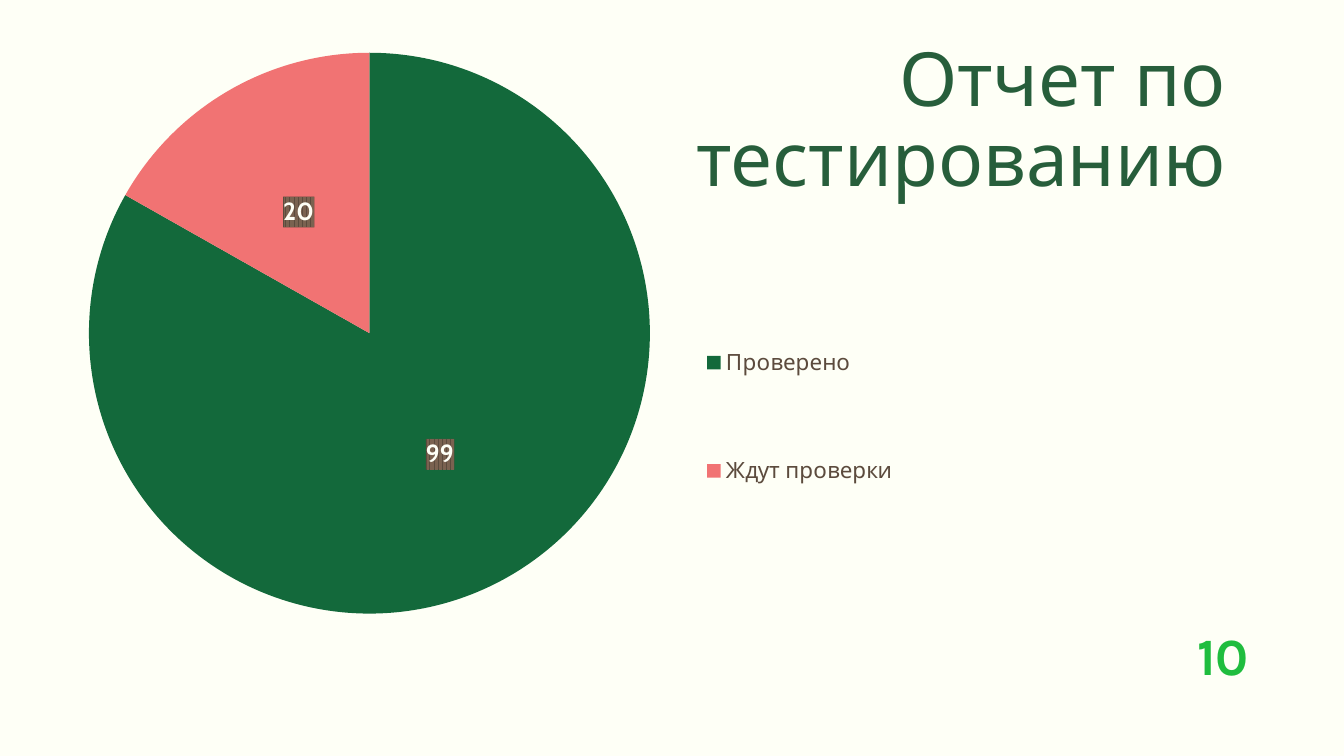
from lxml import etree
from pptx import Presentation
from pptx.chart.data import CategoryChartData
from pptx.dml.color import RGBColor
from pptx.enum.chart import XL_CHART_TYPE, XL_LABEL_POSITION, XL_LEGEND_POSITION
from pptx.enum.text import MSO_ANCHOR, PP_ALIGN
from pptx.oxml import parse_xml
from pptx.util import Cm, Pt

PIE = XL_CHART_TYPE.PIE
LABEL_CENTER = XL_LABEL_POSITION.CENTER
LEGEND_RIGHT = XL_LEGEND_POSITION.RIGHT
RIGHT = PP_ALIGN.RIGHT
TOP = MSO_ANCHOR.TOP

CREAM = RGBColor(0xFE, 0xFF, 0xF6)
TITLE_GREEN = RGBColor(0x27, 0x5E, 0x3B)
NUMBER_GREEN = RGBColor(0x1F, 0xBD, 0x3E)
PIE_GREEN = RGBColor(0x13, 0x69, 0x3B)
PIE_PINK = RGBColor(0xF1, 0x73, 0x73)
BROWN = RGBColor(0x5C, 0x4B, 0x3D)
LIGHT_BROWN = RGBColor(0x7A, 0x62, 0x50)
INK = RGBColor(0x15, 0x11, 0x0E)

HEADING_FONT = "Karla"
CHART_FONT = "Cabin"

TITLE = "Отчет по тестированию"
PAGE_NUMBER = "10"
RESULTS = [
    ("Проверено", 99, PIE_GREEN),
    ("Ждут проверки", 20, PIE_PINK),
]

# Shares of the chart frame: left, top, width, height
PLOT_AREA = (0.07, 0.03, 0.63, 0.94)
LEGEND_AREA = (0.74, 0.39, 0.25, 0.5)

CHART_NS = "http://schemas.openxmlformats.org/drawingml/2006/chart"
DRAWING_NS = "http://schemas.openxmlformats.org/drawingml/2006/main"


def style_font(font, name, size, color, bold=False):
    font.name = name
    font.size = Pt(size)
    font.color.rgb = color
    font.bold = bold


def manual_layout(area, inner=False):
    layout = etree.Element(f"{{{CHART_NS}}}layout")
    manual = etree.SubElement(layout, f"{{{CHART_NS}}}manualLayout")
    settings = [("layoutTarget", "inner")] if inner else []
    settings += [("xMode", "edge"), ("yMode", "edge")]
    settings += list(zip("xywh", area))
    for tag, value in settings:
        etree.SubElement(manual, f"{{{CHART_NS}}}{tag}", val=str(value))
    return layout


def place(parent, before, layout):
    """Put layout into parent ahead of its first child with the given tag."""
    for old in parent.findall(f"{{{CHART_NS}}}layout"):
        parent.remove(old)
    parent.find(f"{{{CHART_NS}}}{before}").addprevious(layout)


def pattern_fill(front, back):
    return parse_xml(
        f'<c:spPr xmlns:c="{CHART_NS}" xmlns:a="{DRAWING_NS}">'
        f'<a:pattFill prst="dkVert">'
        f'<a:fgClr><a:srgbClr val="{front}"/></a:fgClr>'
        f'<a:bgClr><a:srgbClr val="{back}"/></a:bgClr>'
        f"</a:pattFill></c:spPr>"
    )


def add_pie(page):
    data = CategoryChartData()
    data.categories = [name for name, _, _ in RESULTS]
    data.add_series("Series 1", [count for _, count, _ in RESULTS])
    frame = page.shapes.add_chart(
        PIE, Cm(0.46), Cm(0.66), Cm(16.94), Cm(11.28), data)
    chart = frame.chart
    chart.has_title = False
    style_font(chart.font, CHART_FONT, 10, INK)

    plot = chart.plots[0]
    plot.vary_by_categories = True
    series = plot.series[0]
    for index, (_, _, color) in enumerate(RESULTS):
        fill = series.points[index].format.fill
        fill.solid()
        fill.fore_color.rgb = color

    labels = series.data_labels
    labels.show_value = True
    labels.show_percentage = False
    labels.position = LABEL_CENTER
    style_font(labels.font, CHART_FONT, 13.3, CREAM, bold=True)
    text_properties = labels._element.find(f"{{{CHART_NS}}}txPr")
    text_properties.addprevious(pattern_fill(LIGHT_BROWN, BROWN))

    chart.has_legend = True
    legend = chart.legend
    legend.position = LEGEND_RIGHT
    legend.include_in_layout = False
    style_font(legend.font, CHART_FONT, 12, BROWN)

    plot_area = chart._chartSpace.chart.plotArea
    place(plot_area, "pieChart", manual_layout(PLOT_AREA, inner=True))
    place(legend._element, "overlay", manual_layout(LEGEND_AREA))


def main():
    deck = Presentation()
    deck.slide_width, deck.slide_height = Cm(25.4), Cm(14.29)
    page = deck.slides.add_slide(deck.slide_layouts[5])
    page.background.fill.solid()
    page.background.fill.fore_color.rgb = CREAM

    number = page.shapes.add_textbox(Cm(22.38), Cm(11.66), Cm(1.78), Cm(1.45))
    number.text_frame.text = PAGE_NUMBER
    number.text_frame.word_wrap = False
    style_font(number.text_frame.paragraphs[0].runs[0].font,
               HEADING_FONT, 28, NUMBER_GREEN, bold=True)

    title = page.shapes.title
    title.left, title.top = Cm(12.75), Cm(0.66)
    title.width, title.height = Cm(10.67), Cm(3.68)
    title.text_frame.text = TITLE
    title.text_frame.word_wrap = True
    title.text_frame.vertical_anchor = TOP
    heading = title.text_frame.paragraphs[0]
    heading.alignment = RIGHT
    heading.line_spacing = 0.9
    style_font(heading.runs[0].font, HEADING_FONT, 40, TITLE_GREEN)

    add_pie(page)
    deck.save("out.pptx")


if __name__ == "__main__":
    main()
